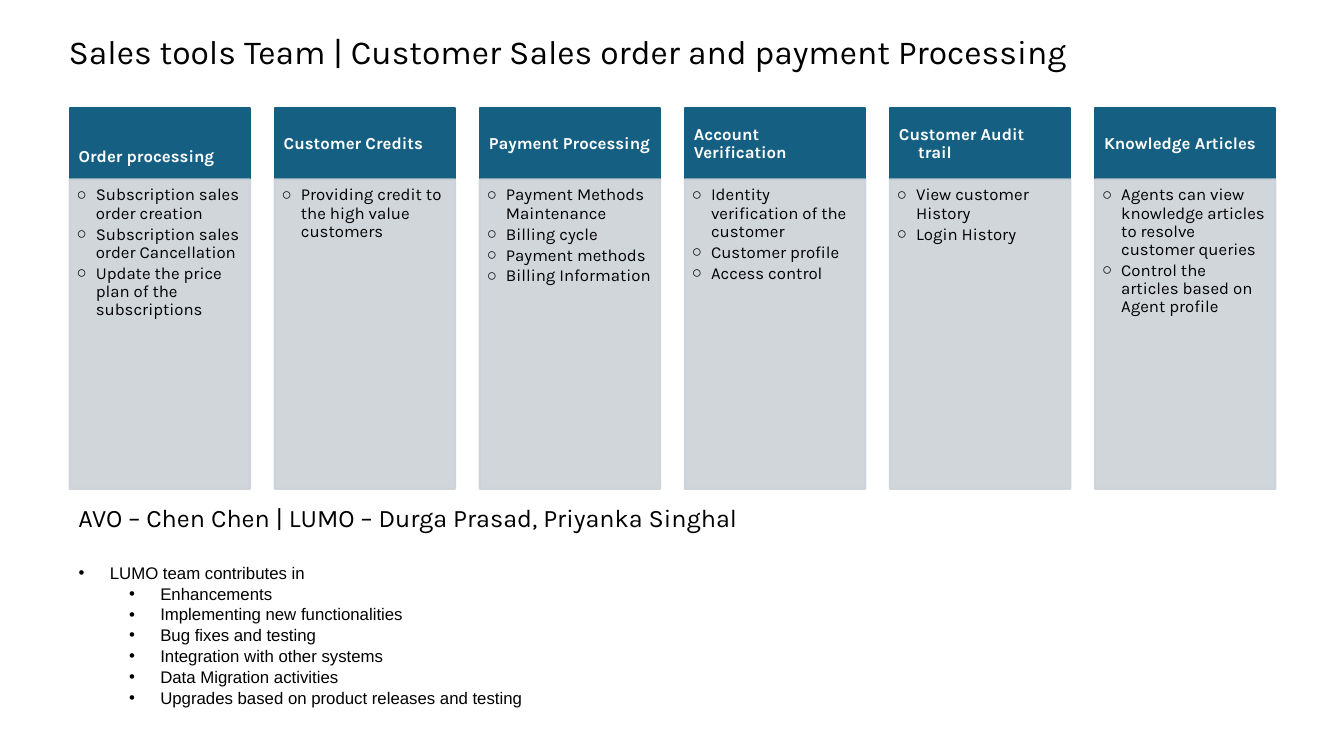
from lxml import etree
from pptx import Presentation
from pptx.dml.color import RGBColor
from pptx.enum import shapes, text
from pptx.oxml.ns import qn
from pptx.util import Inches, Pt

TEAL = RGBColor(0x15, 0x60, 0x82)
GREY = RGBColor(0xCC, 0xD2, 0xD8)
WHITE = RGBColor(0xFF, 0xFF, 0xFF)
BLACK = RGBColor(0, 0, 0)

TITLE = "Sales tools Team | Customer Sales order and payment Processing"
CONTACTS = "AVO – Chen Chen | LUMO – Durga Prasad, Priyanka Singhal"
PROCESSES = [
    ("Order processing", ["Subscription sales order creation",
                          "Subscription sales order Cancellation",
                          "Update the price plan of the subscriptions"]),
    ("Customer Credits", ["Providing credit to the high value customers"]),
    ("Payment Processing", ["Payment Methods Maintenance", "Billing cycle",
                            "Payment methods", "Billing Information"]),
    ("Account Verification", ["Identity verification of the customer",
                              "Customer profile", "Access control"]),
    ("Customer Audit trail", ["View customer History", "Login History"]),
    ("Knowledge Articles", ["Agents can view knowledge articles to resolve customer queries",
                            "Control the articles based on Agent profile"]),
]
HANGING_HEADERS = {"Customer Audit trail", "Knowledge Articles"}
LOWERED_HEADER = "Order processing"
CONTRIBUTIONS = ["LUMO team contributes in", "Enhancements",
                 "Implementing new functionalities", "Bug fixes and testing",
                 "Integration with other systems", "Data Migration activities",
                 "Upgrades based on product releases and testing"]


def place(shape, left, top, width, height):
    shape.left, shape.top = Inches(left), Inches(top)
    shape.width, shape.height = Inches(width), Inches(height)


def set_insets(frame, left, top, right, bottom):
    frame.margin_left, frame.margin_top = Inches(left), Inches(top)
    frame.margin_right, frame.margin_bottom = Inches(right), Inches(bottom)


def set_hanging(paragraph, margin, hang, bullet=None):
    properties = paragraph._p.get_or_add_pPr()
    properties.set("marL", str(Inches(margin)))
    properties.set("indent", str(-Inches(hang)))
    if bullet:
        etree.SubElement(properties, qn("a:buFont")).set("typeface", "Arial")
        etree.SubElement(properties, qn("a:buChar")).set("char", bullet)


def format_paragraph(paragraph, size, font="Karla", color=BLACK, bold=False,
                     line_spacing=1.0, after=0):
    paragraph.alignment = text.PP_ALIGN.LEFT
    paragraph.line_spacing = line_spacing
    paragraph.space_before = Pt(0)
    paragraph.space_after = Pt(after)
    for run in paragraph.runs:
        run.font.name, run.font.size = font, Pt(size)
        run.font.bold, run.font.color.rgb = bold, color


def add_panel(slide, box, color, opacity=100):
    panel = slide.shapes.add_shape(shapes.MSO_SHAPE.RECTANGLE, 0, 0, 0, 0)
    place(panel, *box)
    panel.shadow.inherit = False
    panel.fill.solid()
    panel.fill.fore_color.rgb = color
    panel.line.color.rgb = color
    panel.line.width = Pt(1.5)
    if opacity < 100:
        for color_element in panel._element.spPr.iter(qn("a:srgbClr")):
            etree.SubElement(color_element, qn("a:alpha")).set("val", str(opacity * 1000))
    panel.text_frame.word_wrap = True
    return panel


def add_process(slide, left, top, width, height, name, steps):
    header_height = 0.71
    header = add_panel(slide, (left, top, width, header_height), TEAL).text_frame
    header.vertical_anchor = text.MSO_ANCHOR.MIDDLE
    set_insets(header, 0.09, 0.31 if name == LOWERED_HEADER else 0.05, 0.09, 0.05)
    header.text = name
    if name in HANGING_HEADERS:
        set_hanging(header.paragraphs[0], 0.19, 0.19)
    format_paragraph(header.paragraphs[0], 12, color=WHITE, bold=True, line_spacing=0.9)

    body = add_panel(slide, (left, top + header_height, width, height - header_height),
                     GREY, opacity=90).text_frame
    body.vertical_anchor = text.MSO_ANCHOR.TOP
    set_insets(body, 0.07, 0.07, 0.09, 0.1)
    body.text = "\n".join(steps)
    for paragraph in body.paragraphs:
        set_hanging(paragraph, 0.19, 0.19, "○")
        format_paragraph(paragraph, 12, line_spacing=0.9, after=2)


def add_processes(slide, left, top, width, height):
    column_width = 1.79
    pitch = (width - column_width) / (len(PROCESSES) - 1)
    for index, (name, steps) in enumerate(PROCESSES):
        add_process(slide, left + index * pitch, top, column_width, height, name, steps)


def fill_line(shape, box, content, size):
    place(shape, *box)
    frame = shape.text_frame
    frame.word_wrap = True
    frame.auto_size = text.MSO_AUTO_SIZE.NONE
    frame.vertical_anchor = text.MSO_ANCHOR.TOP
    frame.text = content
    format_paragraph(frame.paragraphs[0], size)


def fill_contributions(placeholder, *box):
    place(placeholder, *box)
    frame = placeholder.text_frame
    frame.auto_size = text.MSO_AUTO_SIZE.NONE
    frame.text = "\n".join(CONTRIBUTIONS)
    for index, paragraph in enumerate(frame.paragraphs):
        paragraph.level = min(index, 1)
        set_hanging(paragraph, 0.81 if index else 0.31, 0.31, "•")
        format_paragraph(paragraph, 12, font="Arial", after=0.5)


def main():
    presentation = Presentation()
    presentation.slide_width = Inches(13.33)
    presentation.slide_height = Inches(7.5)
    slide = presentation.slides.add_slide(presentation.slide_layouts[1])
    fill_line(slide.shapes.title, (0.58, 0.26, 11.97, 0.5), TITLE, 24)
    add_processes(slide, 0.69, 1.07, 11.96, 3.78)
    fill_line(slide.shapes.add_textbox(0, 0, 0, 0), (0.68, 4.93, 10.51, 0.4), CONTACTS, 18)
    fill_contributions(slide.placeholders[1], 0.68, 5.53, 11.97, 1.72)
    presentation.save("out.pptx")


if __name__ == "__main__":
    main()
